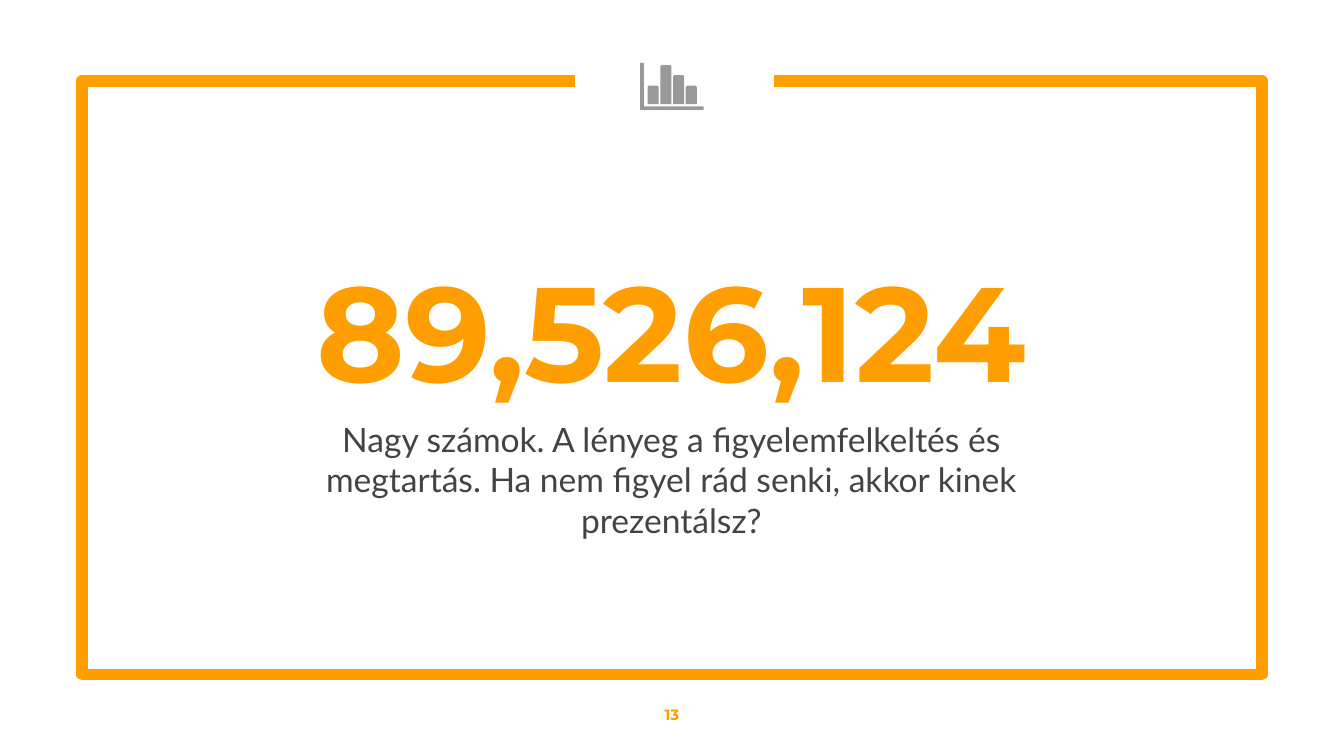
from typing import NamedTuple

from pptx import Presentation
from pptx.dml.color import RGBColor
from pptx.enum import shapes, text
from pptx.util import Cm, Pt

ORANGE = RGBColor(0xFF, 0x9E, 0x00)
DARK_GREY = RGBColor(0x43, 0x43, 0x43)
ICON_GREY = RGBColor(0x99, 0x99, 0x99)


class Box(NamedTuple):
    """A place on the slide, in centimetres."""
    left: float
    top: float
    width: float
    height: float

    def lengths(self) -> list:
        """Give the four values as lengths."""
        return [Cm(value) for value in self]


def write(holder, words: str, *, font: str, size: float, color: RGBColor,
          bold: bool = False, inset: float = 0.25, before: float = 0,
          anchor=text.MSO_ANCHOR.MIDDLE) -> None:
    """Put one centred, formatted paragraph into a shape."""
    frame = holder.text_frame
    frame.word_wrap = True
    frame.auto_size = text.MSO_AUTO_SIZE.NONE
    frame.vertical_anchor = anchor
    frame.margin_left = frame.margin_right = Cm(inset)
    frame.margin_top = frame.margin_bottom = Cm(inset)
    paragraph = frame.paragraphs[0]
    paragraph.alignment = text.PP_ALIGN.CENTER
    paragraph.space_before = Pt(before)
    run = paragraph.add_run()
    run.text = words
    run.font.name = font
    run.font.size = Pt(size)
    run.font.bold = bold
    run.font.color.rgb = color


def draw_outline(slide, points: list, close: bool):
    """Draw straight segments through points given in centimetres."""
    (start_x, start_y), *rest = points
    builder = slide.shapes.build_freeform(Cm(start_x), Cm(start_y))
    builder.add_line_segments([(Cm(x), Cm(y)) for x, y in rest], close=close)
    outline = builder.convert_to_shape()
    outline.shadow.inherit = False
    return outline


def fill_plain(shape, color: RGBColor) -> None:
    """Fill a shape with one colour and no line."""
    shape.shadow.inherit = False
    shape.fill.solid()
    shape.fill.fore_color.rgb = color
    shape.line.fill.background()


def draw_frame(slide) -> None:
    """Draw the orange border with its gap at the top."""
    left, top, right, bottom = 1.55, 1.53, 23.85, 12.75
    border = draw_outline(slide, [
        (10.87, top), (left, top), (left, bottom),
        (right, bottom), (right, top), (14.63, top)], close=False)
    border.fill.background()
    border.line.color.rgb = ORANGE
    border.line.width = Pt(6)


def draw_chart_icon(slide) -> None:
    """Draw the small bar chart: an axis and four bars."""
    left, top, right, bottom, thick = 12.1, 1.19, 13.3, 2.08, 0.07
    axis = draw_outline(slide, [
        (left, top), (left + thick, top), (left + thick, bottom - thick),
        (right, bottom - thick), (right, bottom), (left, bottom)], close=True)
    fill_plain(axis, ICON_GREY)
    first_bar, step, bar_width, base = 12.24, 0.24, 0.21, 1.97
    for index, height in enumerate((0.35, 0.74, 0.55, 0.35)):
        place = Box(first_bar + index * step, base - height, bar_width, height)
        bar = slide.shapes.add_shape(
            shapes.MSO_SHAPE.ROUND_2_SAME_RECTANGLE, *place.lengths())
        fill_plain(bar, ICON_GREY)


def build() -> None:
    """Build and save the slide."""
    deck = Presentation()
    deck.slide_width, deck.slide_height = Cm(25.4), Cm(14.29)
    slide = deck.slides.add_slide(deck.slide_layouts.get_by_name("Title Only"))
    draw_frame(slide)

    big_number = slide.shapes.title
    (big_number.left, big_number.top,
     big_number.width, big_number.height) = Box(4.83, 4.6, 15.72, 3.23).lengths()
    write(big_number, "89,526,124", font="Montserrat", size=72, color=ORANGE,
          bold=True, inset=0)

    message = slide.shapes.add_textbox(*Box(4.83, 7.67, 15.72, 2.18).lengths())
    write(message, "Nagy számok. A lényeg a figyelemfelkeltés és megtartás. "
          "Ha nem figyel rád senki, akkor kinek prezentálsz?",
          font="Lato", size=18, color=DARK_GREY, before=6,
          anchor=text.MSO_ANCHOR.TOP)

    draw_chart_icon(slide)

    page_number = slide.shapes.add_textbox(*Box(0, 12.75, 25.4, 1.52).lengths())
    write(page_number, "13", font="Montserrat", size=8, color=ORANGE, bold=True)
    deck.save("out.pptx")


build()
